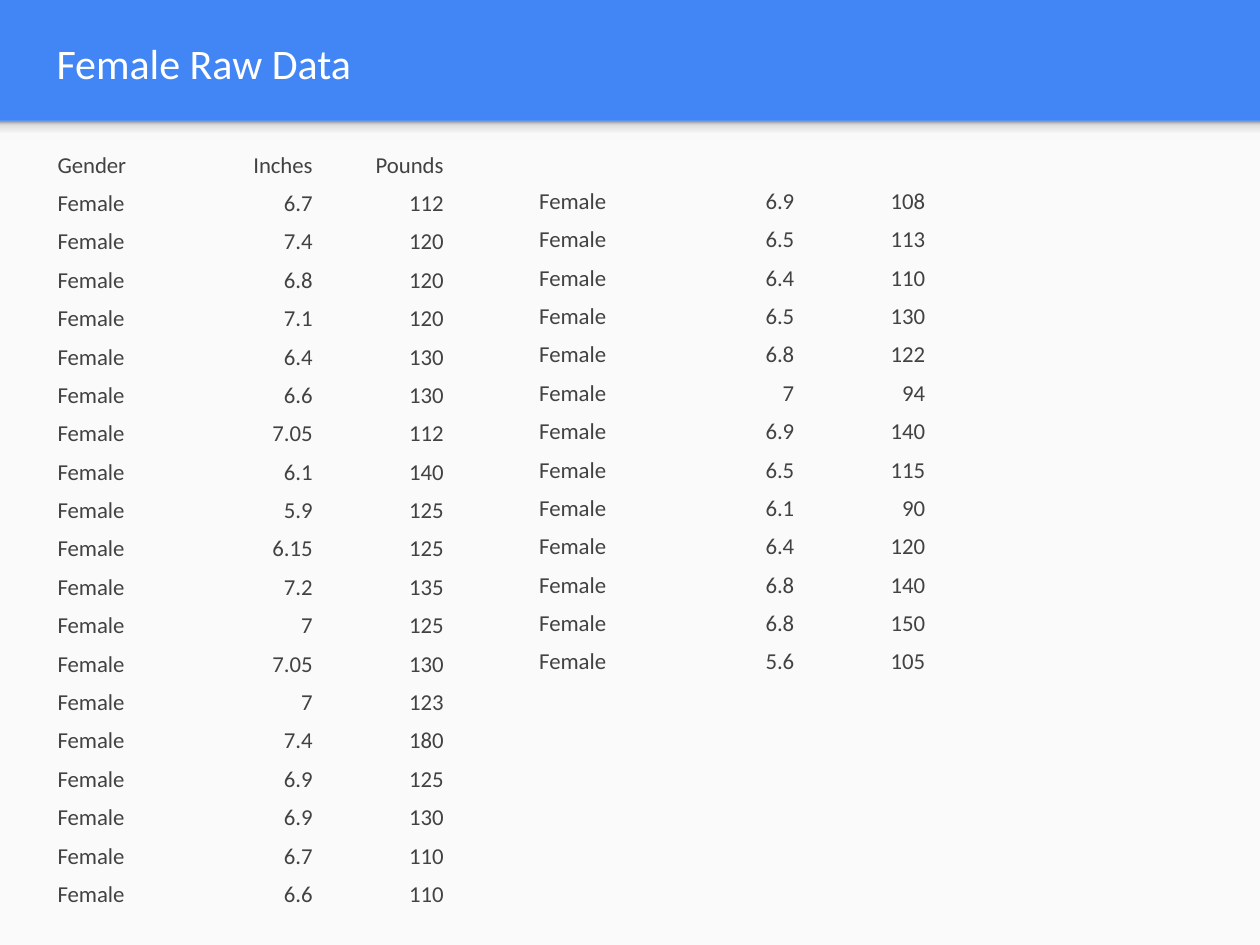
import copy
from dataclasses import dataclass

import pptx
import pptx.dml.color
import pptx.enum.shapes
import pptx.enum.text
import pptx.oxml.ns
import pptx.util

Cm, Pt = pptx.util.Cm, pptx.util.Pt
RGB = pptx.dml.color.RGBColor.from_string
qn = pptx.oxml.ns.qn
ANCHOR = pptx.enum.text.MSO_ANCHOR
ALIGN = pptx.enum.text.PP_ALIGN


@dataclass(frozen=True)
class Theme:
    font: str = "Calibri"
    banner: str = "4285F4"
    panel: str = "FAFAFA"
    title: str = "FFFFFF"
    body: str = "424242"
    title_size: int = 24
    body_size: int = 13
    edge: tuple = ((0, "F9F9F9"), (0.36, "F9F9F9"), (0.8, "DEDEDE"), (1, "999999"))


THEME = Theme()
WIDTH, HEIGHT = 25.4, 19.05
BANNER_H = 2.44
COL_W, ROW_H = 2.64, 0.74
NO_GRID = "{2D5ABB26-0587-4C30-8999-92F81FD0307C}"

HEADER = ("Gender", "Inches", "Pounds")
LEFT = [
    ("6.7", 112), ("7.4", 120), ("6.8", 120), ("7.1", 120), ("6.4", 130),
    ("6.6", 130), ("7.05", 112), ("6.1", 140), ("5.9", 125), ("6.15", 125),
    ("7.2", 135), ("7", 125), ("7.05", 130), ("7", 123), ("7.4", 180),
    ("6.9", 125), ("6.9", 130), ("6.7", 110), ("6.6", 110),
]
RIGHT = [
    ("6.9", 108), ("6.5", 113), ("6.4", 110), ("6.5", 130), ("6.8", 122),
    ("7", 94), ("6.9", 140), ("6.5", 115), ("6.1", 90), ("6.4", 120),
    ("6.8", 140), ("6.8", 150), ("5.6", 105),
]


def apply(obj, formats):
    for name, value in formats.items():
        setattr(obj, name, value)


def margins(size):
    return {f"margin_{side}": Cm(size) for side in ("left", "right", "top", "bottom")}


def write(tf, text, size, color, **formats):
    p = tf.paragraphs[0]
    apply(p, formats)
    r = p.add_run()
    r.text = text
    apply(r.font, {"name": THEME.font, "size": Pt(size)})
    r.font.color.rgb = RGB(color)


def add_panel(s, top, height):
    sp = s.shapes.add_shape(pptx.enum.shapes.MSO_SHAPE.RECTANGLE,
                            Cm(0), Cm(top), Cm(WIDTH), Cm(height))
    sp.shadow.inherit = False
    sp.line.fill.background()
    return sp


def fill_gradient(sp, stops, angle):
    sp.fill.gradient()
    sp.fill.gradient_angle = angle
    gs_list = sp._element.find(".//" + qn("a:gsLst"))
    while len(gs_list) < len(stops):
        gs_list.append(copy.deepcopy(gs_list[0]))
    for stop, (position, color) in zip(sp.fill.gradient_stops, stops):
        stop.position = position
        stop.color.rgb = RGB(color)


def add_title(s, text):
    sp = s.shapes.add_textbox(Cm(0.89), Cm(0.05), Cm(23.9), Cm(BANNER_H))
    tf = sp.text_frame
    apply(tf, {"word_wrap": True, "vertical_anchor": ANCHOR.MIDDLE, **margins(0.25)})
    write(tf, text, THEME.title_size, THEME.title)


def add_data_table(s, left, top, rows):
    n_cols = len(HEADER)
    frame = s.shapes.add_table(len(rows), n_cols, Cm(left), Cm(top),
                               Cm(COL_W * n_cols), Cm(ROW_H * len(rows)))
    table = frame.table
    apply(table, {"first_row": False, "horz_banding": False})
    table._tbl.tblPr.find(qn("a:tableStyleId")).text = NO_GRID
    for i, row in enumerate(rows):
        for j, value in enumerate(row):
            cell = table.cell(i, j)
            apply(cell, {"vertical_anchor": ANCHOR.BOTTOM, **margins(0.07)})
            cell.fill.background()
            write(cell.text_frame, str(value), THEME.body_size, THEME.body,
                  alignment=ALIGN.RIGHT if j else ALIGN.LEFT, line_spacing=1.15)


def main():
    prs = pptx.Presentation()
    apply(prs, {"slide_width": Cm(WIDTH), "slide_height": Cm(HEIGHT)})
    s = prs.slides.add_slide(prs.slide_layouts[6])

    # Banner colour behind a light panel with a shaded upper edge
    s.background.fill.solid()
    s.background.fill.fore_color.rgb = RGB(THEME.banner)
    panel = add_panel(s, BANNER_H, HEIGHT - BANNER_H)
    panel.fill.solid()
    panel.fill.fore_color.rgb = RGB(THEME.panel)
    fill_gradient(add_panel(s, BANNER_H, 0.41), THEME.edge, 90)

    # Title
    add_title(s, "Female Raw Data")

    # Measurements, continued in the second table
    left, right = ([("Female", *pair) for pair in data] for data in (LEFT, RIGHT))
    add_data_table(s, 1.09, 2.9, [HEADER] + left)
    add_data_table(s, 10.8, 3.63, right)

    prs.save("out.pptx")


main()
